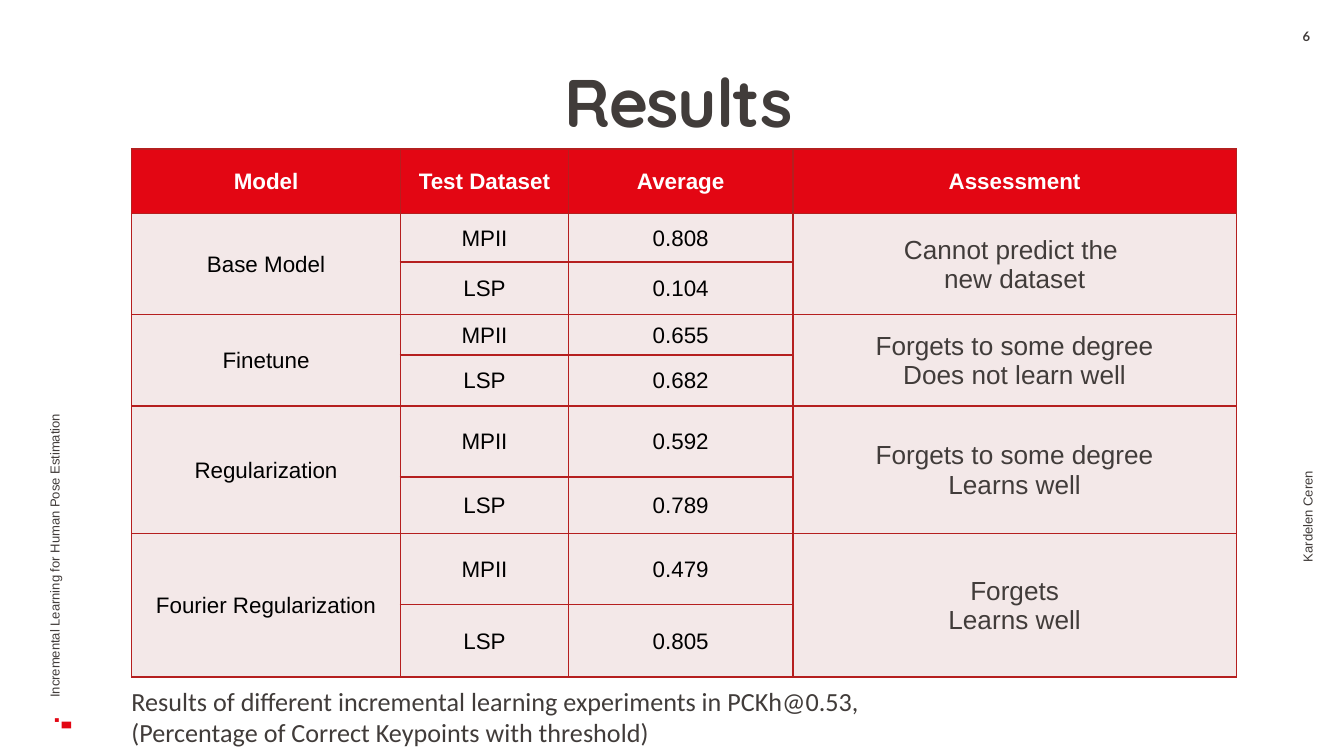
import pptx
import pptx.dml.color
import pptx.enum.shapes
import pptx.enum.text
import pptx.oxml
import pptx.oxml.ns
import pptx.util
from dataclasses import dataclass

Inches = pptx.util.Inches
Align = pptx.enum.text.PP_ALIGN
Anchor = pptx.enum.text.MSO_ANCHOR


@dataclass(frozen=True)
class Theme:
    red: str = "E30613"
    border: str = "B51F1F"
    cell: str = "F3E8E8"
    ink: str = "413C3A"
    black: str = "000000"
    white: str = "FFFFFF"
    title_size: int = 36
    large_size: int = 14
    table_size: int = 12
    small_size: int = 7


THEME = Theme()

COLUMNS = [2, 1.25, 1.67, 3.3]
ROWS = [0.48, 0.36, 0.39, 0.3, 0.38, 0.53, 0.42, 0.53, 0.54]
HEADINGS = ["Model", "Test Dataset", "Average", "Assessment"]
DATASETS = ["MPII", "LSP"]
RESULTS = [
    ("Base Model", ["0.808", "0.104"], "Cannot predict the \nnew dataset"),
    ("Finetune", ["0.655", "0.682"], "Forgets to some degree\nDoes not learn well"),
    ("Regularization", ["0.592", "0.789"], "Forgets to some degree\nLearns well"),
    ("Fourier Regularization", ["0.479", "0.805"], "Forgets\nLearns well"),
]


def rgb(value):
    return pptx.dml.color.RGBColor.from_string(value)


def drawing_xml(body):
    """Parse one element whose names use the a: prefix."""
    tag, rest = body[1:].split(" ", 1)
    return pptx.oxml.parse_xml(f"<{tag} {pptx.oxml.ns.nsdecls('a')} {rest}")


def write_text(frame, text, size, font="Arial", color=THEME.ink, bold=False,
               align=Align.LEFT, line_spacing=None, tracking=None, bullet=None):
    """Fill a text frame, one paragraph for each line of text."""
    for index, line in enumerate(text.split("\n")):
        para = frame.paragraphs[0] if index == 0 else frame.add_paragraph()
        if bullet:
            add_bullet(para, bullet)
        para.alignment = align
        if line_spacing:
            para.line_spacing = line_spacing
        span = para.add_run()
        span.text = line
        span.font.name = font
        span.font.size = pptx.util.Pt(size)
        span.font.bold = bold
        span.font.color.rgb = rgb(color)
        if tracking:
            span._r.get_or_add_rPr().set("spc", str(round(tracking * 100)))


def add_bullet(para, character):
    properties = para._p.get_or_add_pPr()
    properties.set("marL", str(Inches(0.19)))
    properties.set("indent", str(Inches(-0.19)))
    for body in (f'<a:buClr ><a:srgbClr val="{THEME.red}"/></a:buClr>',
                 '<a:buSzPct val="90000"/>',
                 f'<a:buChar char="{character}"/>'):
        properties.append(drawing_xml(body))


def add_text_box(page, place, text, size, anchor=Anchor.TOP, margins=None,
                 **text_format):
    box = page.shapes.add_textbox(*map(Inches, place))
    frame = box.text_frame
    frame.word_wrap = True
    frame.vertical_anchor = anchor
    if margins:
        set_margins(frame, margins)
    write_text(frame, text, size, **text_format)
    return box


def add_side_text(page, place, text, **options):
    """Add text that reads upwards along an edge of the page."""
    box = add_text_box(page, place, text, THEME.small_size, line_spacing=0.9, **options)
    box.rotation = 180
    box.text_frame._txBody.bodyPr.set("vert", "eaVert")


def set_margins(target, margins):
    (target.margin_left, target.margin_top,
     target.margin_right, target.margin_bottom) = map(Inches, margins)


def add_title(page, text):
    title = page.shapes.title
    title.left, title.top, title.width, title.height = map(
        Inches, (0.94, 0.52, 8.1, 1.11))
    frame = title.text_frame
    frame.word_wrap = True
    frame.auto_size = pptx.enum.text.MSO_AUTO_SIZE.NONE
    frame.vertical_anchor = Anchor.TOP
    set_margins(frame, (0.2, 0, 0.08, 0.05))
    write_text(frame, text, THEME.title_size, font="Quicksand", bold=True,
               align=Align.CENTER, line_spacing=0.9, tracking=-0.7)


def add_marker(page):
    marker = page.shapes.add_shape(
        pptx.enum.shapes.MSO_SHAPE.RECTANGLE,
        *map(Inches, (0.46, 5.37, 0.07, 0.05)))
    marker.shadow.inherit = False
    marker.fill.solid()
    marker.fill.fore_color.rgb = rgb(THEME.red)
    marker.line.fill.background()


def style_cell(cell, fill):
    cell.fill.solid()
    cell.fill.fore_color.rgb = rgb(fill)
    cell.vertical_anchor = Anchor.MIDDLE
    set_margins(cell, (0.01, 0.01, 0.01, 0))
    properties = cell._tc.get_or_add_tcPr()
    for index, side in enumerate(("lnL", "lnR", "lnT", "lnB")):
        properties.insert(index, drawing_xml(
            f'<a:{side} w="{pptx.util.Pt(1)}"><a:solidFill>'
            f'<a:srgbClr val="{THEME.border}"/></a:solidFill></a:{side}>'))


def write_cell(cell, text, size=THEME.table_size, color=THEME.black, bold=False):
    write_text(cell.text_frame, text, size, color=color, bold=bold,
               align=Align.CENTER)


def add_results_table(page):
    table = page.shapes.add_table(
        len(ROWS), len(COLUMNS), Inches(0.98), Inches(1.11),
        Inches(sum(COLUMNS)), Inches(sum(ROWS))).table
    for column, width in zip(table.columns, COLUMNS):
        column.width = Inches(width)
    for index, height in enumerate(ROWS):
        table.rows[index].height = Inches(height)
        for cell in table.rows[index].cells:
            style_cell(cell, THEME.cell if index else THEME.red)

    for column, heading in enumerate(HEADINGS):
        write_cell(table.cell(0, column), heading, color=THEME.white, bold=True)

    # Each model takes one row per dataset
    for index, (model, averages, assessment) in enumerate(RESULTS):
        first = 1 + index * len(DATASETS)
        last = first + len(DATASETS) - 1
        for column in (0, 3):
            table.cell(first, column).merge(table.cell(last, column))
        write_cell(table.cell(first, 0), model)
        write_cell(table.cell(first, 3), assessment, THEME.large_size, THEME.ink)
        for row, pair in enumerate(zip(DATASETS, averages), first):
            for column, value in enumerate(pair, 1):
                write_cell(table.cell(row, column), value)


def main():
    deck = pptx.Presentation()
    deck.slide_width = Inches(10)
    deck.slide_height = deck.slide_width * 9 // 16
    page = deck.slides.add_slide(deck.slide_layouts.get_by_name("Title Only"))

    # Page edges
    add_marker(page)
    add_side_text(page, (0.31, 1.71, 0.68, 3.77),
                  "Incremental Learning for Human Pose Estimation", bullet="▪")
    add_side_text(page, (9.45, 0.41, 0.57, 3.87), "Kardelen Ceren",
                  anchor=Anchor.MIDDLE)
    add_text_box(page, (9.44, 0.21, 0.56, 0.18), "6", THEME.small_size,
                 margins=(0.1, 0, 0.1, 0), font="Lato", bold=True,
                 align=Align.CENTER)

    # Title, table and caption
    add_title(page, "Results")
    add_results_table(page)
    add_text_box(page, (0.88, 5.05, 5.84, 0.57),
                 "Results of different incremental learning experiments in PCKh@0.53, \n"
                 "(Percentage of Correct Keypoints with threshold)",
                 THEME.large_size, font="Calibri", align=Align.JUSTIFY)

    deck.save("out.pptx")


if __name__ == "__main__":
    main()
